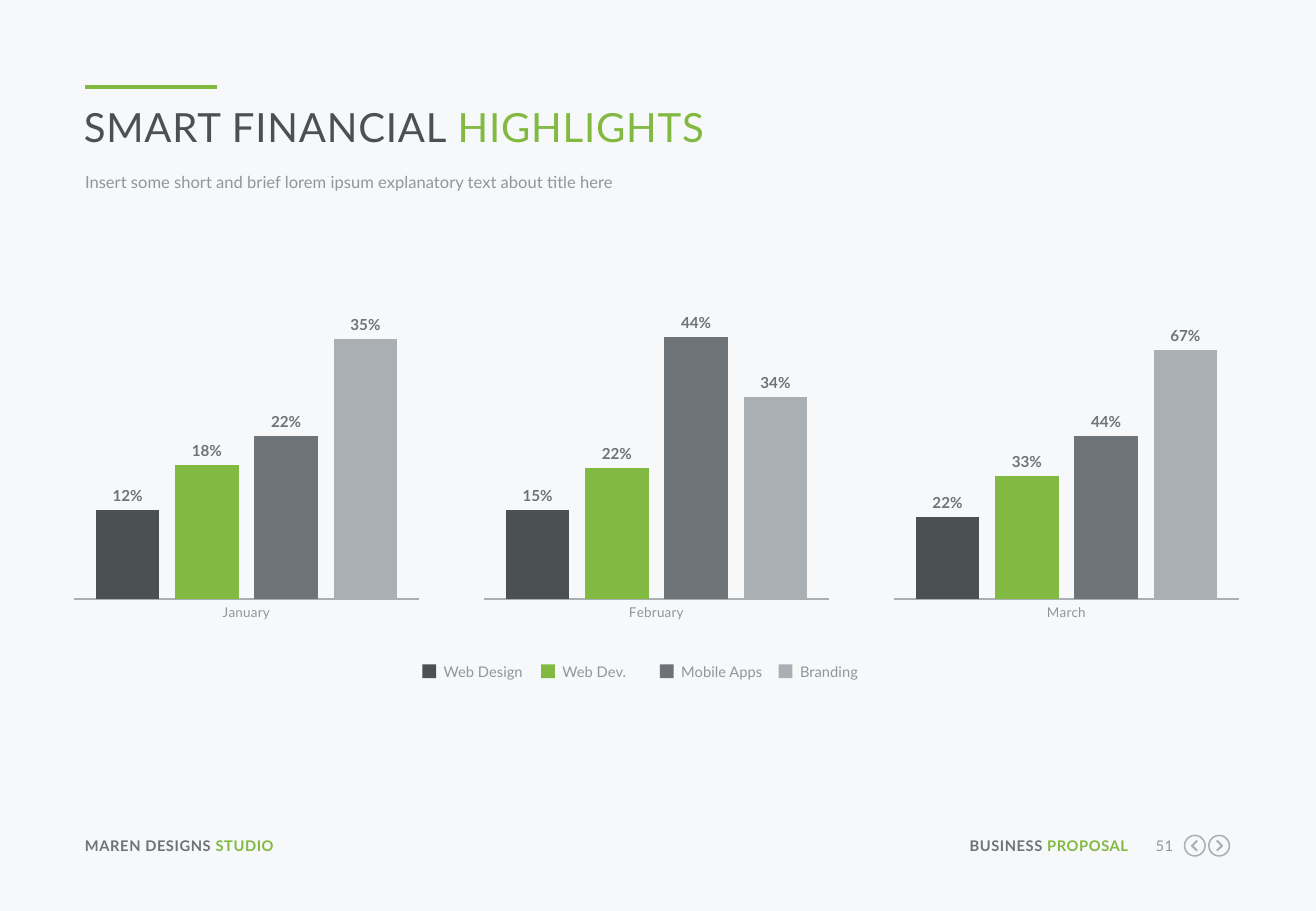
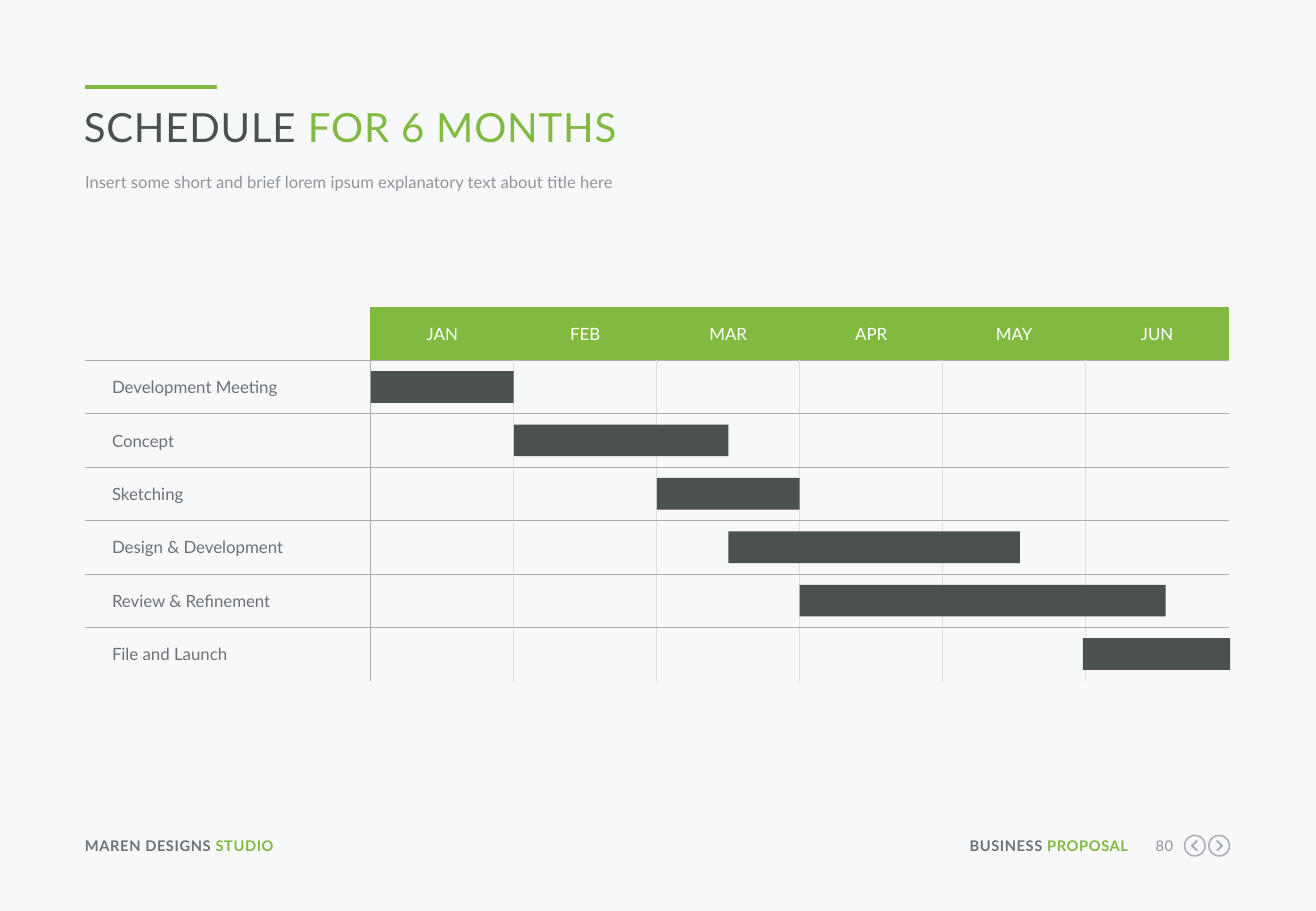
from dataclasses import dataclass

from lxml.etree import SubElement
from pptx import Presentation
from pptx.chart.data import CategoryChartData
from pptx.dml.color import RGBColor
from pptx.enum.chart import XL_CHART_TYPE as ChartType
from pptx.enum.chart import XL_LABEL_POSITION as LabelPosition
from pptx.enum.chart import XL_TICK_MARK as TickMark
from pptx.enum.shapes import MSO_CONNECTOR as Connector
from pptx.enum.shapes import MSO_SHAPE as Shape
from pptx.enum.text import MSO_ANCHOR as Anchor
from pptx.enum.text import MSO_AUTO_SIZE as AutoSize
from pptx.enum.text import PP_ALIGN as Align
from pptx.oxml.ns import qn
from pptx.util import Pt


@dataclass(frozen=True)
class Theme:
    """Colours, font and type sizes of the presentation."""
    font: str = "Lato"
    paper: RGBColor = RGBColor.from_string("F6F8FA")
    white: RGBColor = RGBColor.from_string("FFFFFF")
    green: RGBColor = RGBColor.from_string("82B941")
    dark: RGBColor = RGBColor.from_string("4B5050")
    slate: RGBColor = RGBColor.from_string("6E7378")
    muted: RGBColor = RGBColor.from_string("91969B")
    silver: RGBColor = RGBColor.from_string("AAAFB4")
    pale: RGBColor = RGBColor.from_string("DCE1E6")
    title_size: float = 23.8
    table_size: float = 10
    subtitle_size: float = 9.8
    label_size: float = 9
    small_size: float = 8.7
    axis_size: float = 8


THEME = Theme()
MARGIN = 50.4
CONTENT_WIDTH = 678
SUBTITLE = "Insert some short and brief lorem ipsum explanatory text about title here"


class Deck:
    """Holds the theme and the current slide, and draws each kind of element."""

    def __init__(self, theme):
        self.theme = theme
        self.prs = Presentation()
        self.prs.slide_width, self.prs.slide_height = Pt(780), Pt(540)
        paper = self.prs.slide_master.background.fill
        paper.solid()
        paper.fore_color.rgb = theme.paper
        self.slide = None

    # Text
    def runs(self, paragraph, parts, size, bold=False, spacing=0):
        for words, colour in parts:
            run = paragraph.add_run()
            run.text = words
            run.font.name = self.theme.font
            run.font.size = Pt(size)
            run.font.bold = bold
            run.font.color.rgb = colour
            if spacing:
                run.font._element.set("spc", str(round(spacing * 100)))

    def frame(self, holder, align):
        frame = holder.text_frame
        frame.margin_left = frame.margin_top = 0
        frame.margin_right = frame.margin_bottom = 0
        frame.word_wrap = True
        frame.auto_size = AutoSize.NONE
        frame.vertical_anchor = Anchor.TOP
        paragraph = frame.paragraphs[0]
        paragraph.alignment = align
        return paragraph

    def text(self, left, top, width, parts, align=Align.LEFT, **style):
        box = self.slide.shapes.add_textbox(Pt(left), Pt(top), Pt(width), Pt(10.8))
        self.runs(self.frame(box, align), parts, self.theme.small_size, **style)

    def place(self, placeholder, left, top, height):
        placeholder.left, placeholder.top = Pt(left), Pt(top)
        placeholder.width, placeholder.height = Pt(CONTENT_WIDTH), Pt(height)
        return self.frame(placeholder, Align.LEFT)

    # Shapes
    def rect(self, left, top, width, height, colour):
        block = self.slide.shapes.add_shape(
            Shape.RECTANGLE, Pt(left), Pt(top), Pt(width), Pt(height))
        block.shadow.inherit = False
        block.fill.solid()
        block.fill.fore_color.rgb = colour
        block.line.fill.background()

    def rule(self, left, top, width, colour, weight):
        line = self.slide.shapes.add_connector(
            Connector.STRAIGHT, Pt(left), Pt(top), Pt(left + width), Pt(top))
        line.line.color.rgb = colour
        line.line.width = Pt(weight)
        SubElement(line._element.spPr, qn("a:effectLst"))

    def arrow_button(self, centre_x, centre_y, direction):
        radius = 6.1
        ring = self.slide.shapes.add_shape(
            Shape.OVAL, Pt(centre_x - radius), Pt(centre_y - radius),
            Pt(2 * radius), Pt(2 * radius))
        back, tip = centre_x - 1.4 * direction, centre_x + 1.7 * direction
        path = self.slide.shapes.build_freeform(Pt(back), Pt(centre_y - 3))
        path.add_line_segments(
            [(Pt(tip), Pt(centre_y)), (Pt(back), Pt(centre_y + 3))], close=False)
        for outline, weight in ((ring, 0.9), (path.convert_to_shape(), 1.2)):
            outline.shadow.inherit = False
            outline.fill.background()
            outline.line.color.rgb = self.theme.silver
            outline.line.width = Pt(weight)

    # Shared slide parts
    def new_slide(self, title, highlight, page):
        theme = self.theme
        self.slide = self.prs.slides.add_slide(self.prs.slide_layouts[1])
        heading, subtitle = self.slide.placeholders
        self.runs(self.place(heading, 49.7, 60.8, 29.5),
                  [(title, theme.dark), (highlight, theme.green)],
                  theme.title_size, spacing=0.5)

        intro = self.place(subtitle, MARGIN, 100.8, 15)
        intro.line_spacing = Pt(13)
        intro.space_before = Pt(0)
        properties = intro._p.get_or_add_pPr()
        properties.set("marL", "0")
        properties.set("indent", "0")
        SubElement(properties, qn("a:buNone"))
        self.runs(intro, [(SUBTITLE, theme.muted)], theme.subtitle_size)

        self.rule(MARGIN, 51.6, 78.2, theme.green, 2.25)
        self.footer(page)

    def footer(self, page):
        theme, top = self.theme, 496
        self.text(MARGIN, top, 152,
                  [("MAREN DESIGNS ", theme.slate), ("STUDIO", theme.green)],
                  bold=True, spacing=0.3)
        self.text(570.2, top, 98.6,
                  [("BUSINESS ", theme.slate), ("PROPOSAL", theme.green)],
                  Align.RIGHT, bold=True, spacing=0.3)
        self.text(677.4, top, 18, [(str(page), theme.muted)], Align.RIGHT, spacing=0.3)
        self.arrow_button(708.2, 501.3, -1)
        self.arrow_button(722.6, 501.3, 1)

    # Charts
    def column_chart(self, left, top, width, height, category, values, colours, ceiling):
        theme = self.theme
        data = CategoryChartData(number_format="0%")
        data.categories = [category]
        for name, value in values.items():
            data.add_series(name, [value])
        chart = self.slide.shapes.add_chart(
            ChartType.COLUMN_CLUSTERED, Pt(left), Pt(top), Pt(width), Pt(height), data).chart
        chart.has_legend = chart.has_title = False
        chart.font.name = theme.font
        chart.font.size = Pt(theme.axis_size)
        chart.font.color.rgb = theme.muted

        percent, months = chart.value_axis, chart.category_axis
        percent.minimum_scale, percent.maximum_scale = 0, ceiling
        percent.has_major_gridlines = percent.visible = False
        months.major_tick_mark = months.minor_tick_mark = TickMark.NONE
        months.format.line.color.rgb = theme.silver
        months.format.line.width = Pt(0.75)

        plot = chart.plots[0]
        plot.gap_width, plot.overlap = 69, -25
        plot.vary_by_categories = False
        for series, colour in zip(plot.series, colours):
            series.format.fill.solid()
            series.format.fill.fore_color.rgb = colour
            labels = series.data_labels
            labels.show_value = True
            labels.number_format, labels.number_format_is_linked = "0%", False
            labels.position = LabelPosition.OUTSIDE_END
            labels.font.name = theme.font
            labels.font.size = Pt(theme.label_size)
            labels.font.bold = True
            labels.font.color.rgb = theme.slate

    # Tables
    def borders(self, cell, **edges):
        properties = cell._tc.get_or_add_tcPr()
        for side in "LRTB":
            colour = edges.get(side)
            line = SubElement(properties, qn(f"a:ln{side}"), w=str(Pt(0.75)))
            if colour is None:
                SubElement(line, qn("a:noFill"))
            else:
                fill = SubElement(line, qn("a:solidFill"))
                SubElement(fill, qn("a:srgbClr"), val=str(colour))

    def schedule_table(self, left, top, months, tasks, task_width, month_width, row_height):
        theme = self.theme
        row_count, column_count = len(tasks) + 1, len(months) + 1
        table = self.slide.shapes.add_table(
            row_count, column_count, Pt(left), Pt(top),
            Pt(task_width + month_width * len(months)), Pt(row_height * row_count)).table
        table.first_row = table.horz_banding = False
        for number, column in enumerate(table.columns):
            column.width = Pt(month_width if number else task_width)

        def divider(row, column):
            """Colour of the vertical line to the left of a column."""
            if column in (0, column_count):
                return None
            if row == 0:
                return theme.green
            return theme.silver if column == 1 else theme.pale

        for r, row in enumerate(table.rows):
            row.height = Pt(row_height)
            for c, cell in enumerate(row.cells):
                self.borders(cell, L=divider(r, c), R=divider(r, c + 1),
                             T=theme.silver if r else None,
                             B=theme.silver if r < row_count - 1 else None)
                cell.margin_left = Pt(0 if c else 16)
                cell.margin_right = cell.margin_top = cell.margin_bottom = 0
                cell.vertical_anchor = Anchor.MIDDLE
                paragraph = cell.text_frame.paragraphs[0]
                if r == 0 and c:
                    cell.fill.solid()
                    cell.fill.fore_color.rgb = theme.green
                    paragraph.alignment = Align.CENTER
                    self.runs(paragraph, [(months[c - 1], theme.white)], theme.table_size)
                else:
                    cell.fill.background()
                    if r and c == 0:
                        self.runs(paragraph, [(tasks[r - 1], theme.slate)], theme.table_size)


def financial_highlights(deck):
    theme = deck.theme
    deck.new_slide("SMART FINANCIAL ", "HIGHLIGHTS", 51)
    services = {"Web Design": theme.dark, "Web Dev.": theme.green,
                "Mobile Apps": theme.slate, "Branding": theme.silver}

    # One chart per month, each with its own ceiling
    results = [("January", (0.12, 0.18, 0.22, 0.35), 0.4),
               ("February", (0.15, 0.22, 0.44, 0.34), 0.5),
               ("March", (0.22, 0.33, 0.44, 0.67), 0.8)]
    for i, (month, shares, ceiling) in enumerate(results):
        deck.column_chart(39.6 + 243 * i, 175, 213, 196.6, month,
                          dict(zip(services, shares)), services.values(), ceiling)

    # Legend
    for i, (service, colour) in enumerate(services.items()):
        left = 250.3 + 70.4 * i
        deck.rect(left, 393.8, 8.2, 8.2, colour)
        deck.text(left + 12.7, 393, 56, [(service, theme.muted)])


def six_month_schedule(deck):
    deck.new_slide("SCHEDULE ", "FOR 6 MONTHS", 80)
    months = ["JAN", "FEB", "MAR", "APR", "MAY", "JUN"]
    # Task: first month and duration, both in months
    tasks = {"Development Meeting": (0, 1), "Concept": (1, 1.5), "Sketching": (2, 1),
             "Design & Development": (2.5, 2.04), "Review & Refinement": (3, 2.56),
             "File and Launch": (4.98, 1.03)}
    top, task_width, month_width, row_height = 182, 169.4, 84.75, 31.67
    deck.schedule_table(MARGIN, top, months, list(tasks),
                        task_width, month_width, row_height)

    # Task bars
    for row, (start, duration) in enumerate(tasks.values(), 1):
        deck.rect(MARGIN + task_width + start * month_width, top + row * row_height + 6.3,
                  duration * month_width, 18.8, deck.theme.dark)


def main():
    deck = Deck(THEME)
    financial_highlights(deck)
    six_month_schedule(deck)
    deck.prs.save("out.pptx")


if __name__ == "__main__":
    main()
